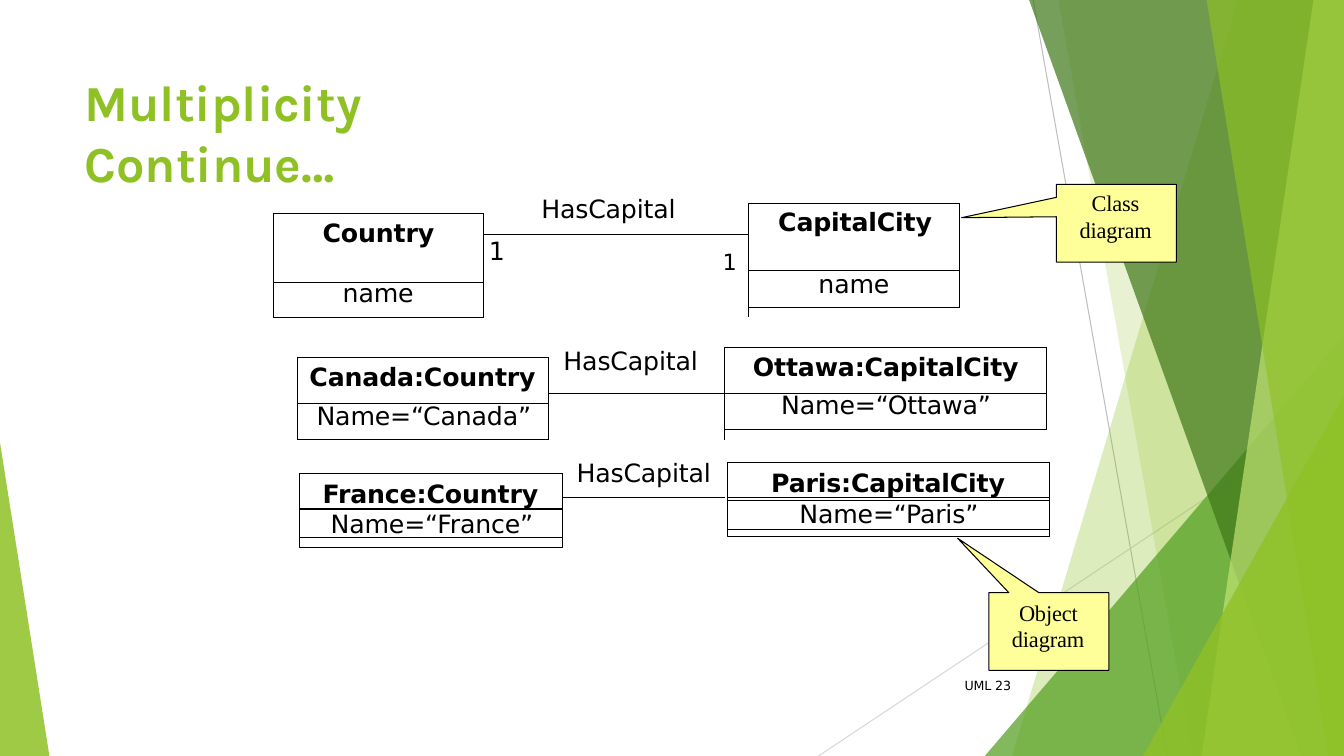
import pptx
import pptx.dml.color
import pptx.enum.shapes
import pptx.enum.text
import pptx.oxml
import pptx.oxml.ns
import pptx.util
from lxml import etree

COLS, ROWS = 133.33, 75  # grid cells of a tenth of an inch
COLORS = {"lime": "8FC125", "leaf": "539F20", "forest": "3E7718", "pale": "BFE373",
          "grey": "BEBEBE", "mist": "D8D8D8", "ink": "000000", "paper": "FFFFFF",
          "note": "FFFF99"}
FACETS = [  # colour, opacity in percent, corners
    ("lime", 30, [(COLS, 0), (122.8, 0), (100.4, ROWS), (COLS, ROWS)]),
    ("lime", 20, [(COLS, 0), (105, 0), (118.3, ROWS), (COLS, ROWS)]),
    ("leaf", 72, [(COLS, 33.3), (97.7, ROWS), (COLS, ROWS)]),
    ("forest", 70, [(COLS, 0), (102.1, 0), (129.1, ROWS), (COLS, ROWS)]),
    ("pale", 70, [(COLS, 0), (130.3, 0), (119.2, ROWS), (COLS, ROWS)]),
    ("lime", 65, [(COLS, 0), (119.7, 0), (131.8, ROWS), (COLS, ROWS)]),
    ("lime", 80, [(COLS, 39.3), (113.4, ROWS), (COLS, ROWS)]),
    ("lime", 85, [(0, 43.9), (0, ROWS), (4.9, ROWS)]),
]
SHAPES = pptx.enum.shapes.MSO_SHAPE
NO_GRID_STYLE = "{2D5ABB26-0587-4C30-8999-92F81FD0307C}"


def cells(n):
    return pptx.util.Inches(n / 10)


def rgb(name):
    return pptx.dml.color.RGBColor.from_string(COLORS[name])


def sub(parent, tag, **attrs):
    return etree.SubElement(parent, pptx.oxml.ns.qn(tag), attrs)


def write(holder, text, size=18, font="DejaVu Sans", color="ink", bold=False, top=0,
          indent=0, first=0, before=0, line=None):
    """Fill a text frame or table cell; lengths are in grid cells, spacing in points."""
    tf = getattr(holder, "text_frame", holder)
    holder.margin_left = holder.margin_right = holder.margin_bottom = 0
    holder.margin_top = cells(top)
    holder.vertical_anchor = pptx.enum.text.MSO_ANCHOR.TOP
    tf.word_wrap = True
    p = tf.paragraphs[0]
    p.alignment = pptx.enum.text.PP_ALIGN.LEFT
    p.space_before = pptx.util.Pt(before)
    if line:
        p.line_spacing = pptx.util.Pt(line)
    pPr = p._p.get_or_add_pPr()
    pPr.set("marL", str(cells(indent)))
    pPr.set("indent", str(cells(first)))
    r = p.add_run()
    r.text = text
    r.font.size, r.font.name, r.font.bold = pptx.util.Pt(size), font, bold
    r.font.color.rgb = rgb(color)
    r._r.get_or_add_rPr().set("spc", "-10")


def label(s, box, text, **fmt):
    tf = s.shapes.add_textbox(*map(cells, box)).text_frame
    write(tf, text, **fmt)


def draw_line(s, x1, y1, x2, y2, color):
    sp = s.shapes.add_connector(pptx.enum.shapes.MSO_CONNECTOR.STRAIGHT,
                                *map(cells, (x1, y1, x2, y2)))
    sp.line.color.rgb, sp.line.width = rgb(color), pptx.util.Pt(0.75)
    sub(sp._element.spPr, "a:effectLst")


def boxed(s, kind, box, fill=None):
    sp = s.shapes.add_shape(kind, *map(cells, box))
    sp.shadow.inherit = False
    if fill:
        sp.fill.solid()
        sp.fill.fore_color.rgb = rgb(fill)
    else:
        sp.fill.background()
    sp.line.color.rgb, sp.line.width = rgb("ink"), pptx.util.Pt(0.75)
    return sp


def backdrop(s):
    draw_line(s, 102.5, 0, 115.8, ROWS, "grey")
    draw_line(s, COLS, 40.3, 81.2, ROWS, "mist")
    for color, opacity, corners in FACETS:
        points = [(cells(x), cells(y)) for x, y in corners]
        builder = s.shapes.build_freeform(*points[0], scale=1.0)
        builder.add_line_segments(points[1:], close=True)
        sp = builder.convert_to_shape()
        sp.shadow.inherit = False
        sp.line.fill.background()
        sp.fill.solid()
        sp.fill.fore_color.rgb = rgb(color)
        tint = sp._element.spPr.find(".//" + pptx.oxml.ns.qn("a:srgbClr"))
        sub(tint, "a:alpha", val=str(opacity * 1000))


def set_borders(cell, sides):
    tcPr = cell._tc.get_or_add_tcPr()
    for side in "LRTB":
        if side in sides:
            ln = sub(tcPr, "a:ln" + side, w="9525")
            sub(sub(ln, "a:solidFill"), "a:srgbClr", val=COLORS["ink"])
    cell.fill.background()


def linked_pair(s, x, y, widths, heights, regions):
    """Two boxes and their link in one table; a region is row, column, span, sides, text, format."""
    box = map(cells, (x, y, sum(widths), sum(heights)))
    tbl = s.shapes.add_table(len(heights), len(widths), *box).table
    tbl.first_row = tbl.horz_banding = False
    tbl._tbl.tblPr.find(pptx.oxml.ns.qn("a:tableStyleId")).text = NO_GRID_STYLE
    for column, width in zip(tbl.columns, widths):
        column.width = cells(width)
    for row, height in zip(tbl.rows, heights):
        row.height = cells(height)
    for cell in tbl.iter_cells():
        cell.margin_left = cell.margin_right = cell.margin_top = cell.margin_bottom = 0
        sub(cell.text_frame.paragraphs[0]._p, "a:endParaRPr", sz="100")
    for row, col, span, sides, text, fmt in regions:
        cell, last = tbl.cell(row, col), row + span - 1
        set_borders(cell, sides)
        for i in range(row + 1, last + 1):
            set_borders(tbl.cell(i, col), set(sides) - set("T" if i == last else "TB"))
        if span > 1:
            cell.merge(tbl.cell(last, col))
        if text:
            write(cell, text, **fmt)


def object_box(s, box, name, value, name_indent, value_indent, value_top, line):
    x, y, w, h = box
    boxed(s, SHAPES.RECTANGLE, box, "paper")
    title = boxed(s, SHAPES.RECTANGLE, (x, y, w, 3.5))
    write(title.text_frame, name, bold=True, top=0.5, indent=name_indent, before=3.7)
    body = boxed(s, SHAPES.RECTANGLE, (x, y + value_top, w, 2.85))
    write(body.text_frame, value, indent=value_indent, line=line)


def callout(s, box, tip, text, text_at, **fmt):
    x, y, w, h = box
    sp = boxed(s, SHAPES.RECTANGULAR_CALLOUT, box, "note")
    sp.adjustments[0] = (tip[0] - x - w / 2) / w
    sp.adjustments[1] = (tip[1] - y - h / 2) / h
    label(s, (x + text_at[0], y + text_at[1], 7.6, 5.5), text, size=16,
          font="Times New Roman", indent=0.1, **fmt)


def multiplicity_slide(prs):
    s = prs.slides.add_slide(prs.slide_layouts[5])
    backdrop(s)
    title = s.shapes.title
    title.left, title.top, title.width, title.height = map(cells, (8.3, 7, 52.7, 6.2))
    title.text_frame.auto_size = pptx.enum.text.MSO_AUTO_SIZE.NONE
    write(title.text_frame, "Multiplicity Continue…", size=36, font="Karla", color="lime",
          bold=True, top=0.1, indent=0.1, before=1)
    head = dict(bold=True, top=0.5, before=3.7)
    linked_pair(s, 27.1, 20.2, (20.9, 26.3, 20.9), (1, 2.05, 3.6, 1.1, 2.5, 1), [
        (0, 0, 1, "B", "", {}),
        (0, 1, 2, "RB", "HasCapital", dict(indent=5.7, line=14.9)),
        (0, 2, 3, "LRTB", "CapitalCity", dict(head, indent=2.9)),
        (1, 0, 3, "LRTB", "Country", dict(head, indent=4.9)),
        (2, 1, 4, "LTR", "1", dict(top=0.3, indent=0.5, before=2.1)),
        (3, 2, 2, "LRTB", "name", dict(indent=6.9, line=20.1)),
        (4, 0, 2, "LRTB", "name", dict(indent=6.9, line=19.2)),
        (5, 2, 1, "T", "", {})])
    label(s, (71.7, 24.6, 2, 2.6), "1", size=16)
    linked_pair(s, 29.5, 34.5, (24.9, 17.5, 31.9), (1, 3.5, 1, 2.6, 1), [
        (0, 0, 1, "B", "", {}),
        (0, 1, 2, "RB", "HasCapital", dict(indent=1.5, line=20.4)),
        (0, 2, 2, "LRTB", "Ottawa:CapitalCity", dict(head, indent=2.8)),
        (1, 0, 2, "LRTB", "Canada:Country", dict(head, indent=1.2)),
        (2, 1, 3, "LTR", "", {}),
        (2, 2, 2, "LRTB", "Name=“Ottawa”", dict(indent=5.6, line=19.8)),
        (3, 0, 2, "LRTB", "Name=“Canada”", dict(indent=1.9, line=20.4)),
        (4, 2, 1, "T", "", {})])
    object_box(s, (29.7, 47, 26.1, 7.3), "France:Country", "Name=“France”", 2.3, 3.1, 3.5, 21.2)
    object_box(s, (72.2, 45.9, 31.9, 7.3), "Paris:CapitalCity", "Name=“Paris”", 4.3, 7.1, 3.8, 19.8)
    draw_line(s, 55.8, 49.4, 71.9, 49.4, "ink")
    label(s, (57.1, 45.3, 13.6, 3.2), "HasCapital", top=0.1, indent=0.1, before=1)
    callout(s, (104.8, 18.3, 11.9, 7.7), (95.4, 21.6), "Class diagram", (2.2, 0.4),
            top=0.1, first=1.2, before=1)
    callout(s, (98.1, 58.8, 11.9, 7.7), (95, 53.4), "Object diagram", (2.2, 0.4),
            top=0.2, first=0.7, before=1.7, line=19.1)
    label(s, (95.6, 67.2, 5.2, 1.7), "UML 23", size=9, top=0.1, indent=0.1, before=1.1)


def main():
    prs = pptx.Presentation()
    prs.slide_width, prs.slide_height = cells(COLS), cells(ROWS)
    multiplicity_slide(prs)
    prs.save("out.pptx")


if __name__ == "__main__":
    main()
